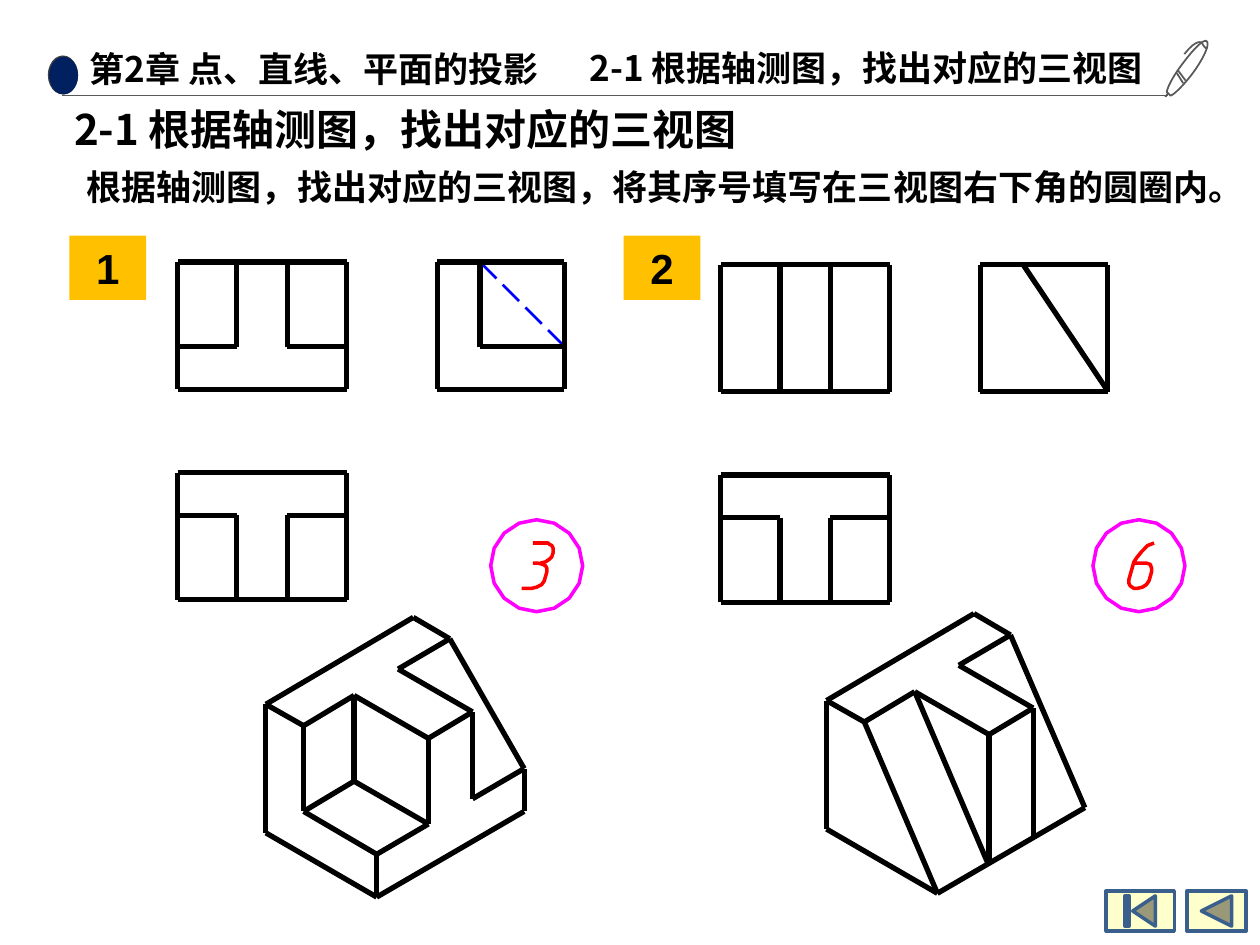
"""Build the slide on matching solids with their three views."""
from math import cos, pi, sin
from lxml.etree import SubElement
from pptx import Presentation
from pptx.dml.color import RGBColor
from pptx.enum.shapes import MSO_CONNECTOR as Link, MSO_SHAPE as Kind
from pptx.enum.text import MSO_ANCHOR as Anchor, PP_ALIGN as Align
from pptx.oxml.ns import qn
from pptx.util import Inches, Pt

HUES = {"ink": "000000", "gray": "595959", "dark": "404040", "navy": "002060",
        "gold": "FFC000", "cream": "FFFFCC", "steel": "3A5F8C",
        "pink": "FF00FF", "red": "FF0000", "blue": "0000FF"}
CJK = "Noto Sans CJK SC"

TEXTS = [
    ("第2章 点、直线、平面的投影", (0.64, 0.34, 4.07, 0.41), 20, CJK, (0.07, 0.04), None),
    ("2-1 根据轴测图，找出对应的三视图", (4.58, 0.32, 4.74, 0.44), 20, CJK, (0.1, 0.05), None),
    ("2-1 根据轴测图，找出对应的三视图", (0.49, 0.77, 6.46, 0.51), 24, CJK, (0.1, 0.05), None),
    ("根据轴测图，找出对应的三视图，将其序号填写在三视图右下角的圆圈内。",
     (0.59, 1.39, 9.73, 0.31), 20, "Arial", (0.1, 0.05), 15),
]
TAGS = [("1", 0.55), ("2", 4.95)]
BUTTONS = [(Kind.ACTION_BUTTON_BEGINNING, 8.78, 0.54),
           (Kind.ACTION_BUTTON_BACK_OR_PREVIOUS, 9.42, 0.47)]

FRAMES = [(0, 0, 1.34, 1.01), (2.06, 0, 1.01, 1.01), (0, 1.67, 1.34, 1.01)]
PLAN = [[(0, 2.01), (0.47, 2.01), (0.47, 2.68)],
        [(1.34, 2.01), (0.87, 2.01), (0.87, 2.68)]]
VIEWS = [
    ((1.41, 2.08), [[(0, 0.67), (0.47, 0.67), (0.47, 0)],
                    [(1.34, 0.67), (0.87, 0.67), (0.87, 0)],
                    [(2.4, 0), (2.4, 0.67), (3.07, 0.67)]]),
    ((5.72, 2.1), [[(0.47, 0), (0.47, 1)], [(0.87, 0), (0.87, 1)],
                   [(2.4, 0), (3.07, 1)]]),
]
HULL = [[(0, 0.69), (1.17, 0), (1.46, 0.17), (1.05, 0.41), (1.64, 0.75),
         (1.29, 0.96), (0.7, 0.62), (0.3, 0.86), (0, 0.69), (0, 1.71),
         (0.88, 2.22), (2.05, 1.54)]]
SOLIDS = [
    ((2.11, 4.9), [[(2.05, 1.54), (2.05, 1.2), (1.46, 0.17)],
                   [(2.05, 1.2), (1.64, 1.44), (1.64, 0.75)],
                   [(0.3, 0.86), (0.3, 1.54), (0.88, 1.88), (1.29, 1.64), (1.29, 0.96)],
                   [(0.7, 0.62), (0.7, 1.3), (1.29, 1.64)],
                   [(0.7, 1.3), (0.3, 1.54)], [(0.88, 1.88), (0.88, 2.22)]]),
    ((6.56, 4.87), [[(1.46, 0.17), (2.05, 1.54)], [(0.7, 0.62), (1.28, 1.98)],
                    [(0.3, 0.86), (0.88, 2.22)], [(1.64, 0.75), (1.64, 1.77)],
                    [(1.29, 0.96), (1.29, 1.98)]]),
]
RINGS = [(4.26, 4.49), (9.04, 4.49)]
DIGITS = [
    [(4.14, 4.67), (4.22, 4.67), (4.26, 4.66), (4.3, 4.64), (4.32, 4.61), (4.34, 4.54),
     (4.34, 4.51), (4.33, 4.49), (4.31, 4.48), (4.27, 4.47), (4.23, 4.47)],
    [(4.29, 4.47), (4.33, 4.46), (4.36, 4.44), (4.38, 4.42), (4.39, 4.39), (4.39, 4.35),
     (4.38, 4.33), (4.36, 4.32), (4.35, 4.31), (4.23, 4.31)],
    [(9.16, 4.31), (9.11, 4.33), (9.06, 4.38), (9.02, 4.43), (9, 4.46), (8.96, 4.6),
     (8.96, 4.63), (8.97, 4.65), (9, 4.67), (9.03, 4.67), (9.07, 4.66), (9.1, 4.64),
     (9.12, 4.61), (9.14, 4.54), (9.14, 4.51), (9.13, 4.48), (9.1, 4.47), (9.01, 4.47)],
]
PEN = [
    [(9.39, 0.66), (9.34, 0.58), (9.34, 0.58), (9.34, 0.58)],
    [(9.35, 0.56), (9.41, 0.64), (9.41, 0.64), (9.41, 0.64)],
    [(9.58, 0.33), (9.56, 0.3), (9.48, 0.38), (9.39, 0.5), (9.32, 0.59), (9.27, 0.68),
     (9.26, 0.73), (9.29, 0.76), (9.29, 0.76), (9.29, 0.76), (9.32, 0.75), (9.39, 0.68),
     (9.46, 0.59), (9.55, 0.47), (9.6, 0.36), (9.58, 0.33)],
    [(9.27, 0.74), (9.25, 0.77), (9.25, 0.77), (9.25, 0.77)],
    [(9.58, 0.39), (9.58, 0.39), (9.55, 0.37), (9.54, 0.34), (9.54, 0.34), (9.5, 0.3),
     (9.4, 0.43)],
]

deck = Presentation()
deck.slide_width, deck.slide_height = Inches(10), Inches(7.5)
page = deck.slides.add_slide(deck.slide_layouts[6])


def tint(name):
    return RGBColor.from_string(HUES[name])


def edge(line, hue, width):
    line.color.rgb = tint(hue)
    line.width = Pt(width)


def shape(kind, box, fill, hue=None):
    item = page.shapes.add_shape(kind, *map(Inches, box))
    item.shadow.inherit = False
    item.fill.solid()
    item.fill.fore_color.rgb = tint(fill)
    if hue:
        edge(item.line, hue, 2)
    else:
        item.line.fill.background()
    return item


def write(item, text, size, face):
    frame = item.text_frame
    frame.word_wrap = True
    frame.text = text
    para = frame.paragraphs[0]
    font = para.runs[0].font
    font.size, font.bold, font.name = Pt(size), True, face
    font.color.rgb = tint("ink")
    SubElement(para.runs[0]._r.get_or_add_rPr(), qn("a:ea")).set("typeface", CJK)
    return para


def chain(spots, at=(0, 0), hue="ink", width=3):
    spots = [(Inches(at[0] + x), Inches(at[1] + y)) for x, y in spots]
    for start, end in zip(spots, spots[1:]):
        link = page.shapes.add_connector(Link.STRAIGHT, *start, *end)
        edge(link.line, hue, width)
        SubElement(link._element.spPr, qn("a:effectLst"))


def trace(paths, hue, width, close=False):
    paths = [[(Inches(x), Inches(y)) for x, y in path] for path in paths]
    pen = page.shapes.build_freeform(*paths[0][0])
    for num, path in enumerate(paths):
        if num:
            pen.move_to(*path[0])
        pen.add_line_segments(path[1:], close=close)
    item = pen.convert_to_shape()
    item.shadow.inherit = False
    item.fill.background()
    edge(item.line, hue, width)


def curve(knots, steps=8):
    path = [knots[0]]
    for i in range(0, len(knots) - 1, 3):
        for t in (n / steps for n in range(1, steps + 1)):
            parts = ((1 - t) ** 3, 3 * t * (1 - t) ** 2, 3 * t * t * (1 - t), t ** 3)
            path.append(tuple(sum(p * k[d] for p, k in zip(parts, knots[i:i + 4]))
                              for d in (0, 1)))
    return path


shape(Kind.OVAL, (0.38, 0.44, 0.24, 0.31), "dark")
shape(Kind.OVAL, (0.39, 0.45, 0.23, 0.3), "navy")
chain([(0.49, 0.76), (9.27, 0.76)], hue="gray", width=0.75)
trace([curve(knots) for knots in PEN], "gray", 1)

for text, box, size, face, (side, edge_gap), lead in TEXTS:
    item = page.shapes.add_textbox(*map(Inches, box))
    frame = item.text_frame
    frame.margin_left = frame.margin_right = Inches(side)
    frame.margin_top = frame.margin_bottom = Inches(edge_gap)
    para = write(item, text, size, face)
    if lead:
        para.line_spacing = Pt(lead)

for kind, left, wide in BUTTONS:
    shape(kind, (left, 7.07, wide, 0.32), "cream", "steel")

for x, y in RINGS:
    turns = [n * pi / 8 for n in range(16)]
    trace([[(x + 0.365 * cos(a), y + 0.365 * sin(a)) for a in turns]], "pink", 2, True)
for path in DIGITS:
    trace([path], "red", 2)

for n in range(4):
    near, far = 0.18 * n, 0.18 * n + 0.13
    chain([(3.81 + near, 2.08 + near), (3.81 + far, 2.08 + far)], hue="blue", width=1.5)
for at, marks in VIEWS:
    for x, y, w, h in FRAMES:
        chain([(x, y), (x + w, y), (x + w, y + h), (x, y + h), (x, y)], at)
    for path in PLAN + marks:
        chain(path, at)
for at, marks in SOLIDS:
    for path in HULL + marks:
        chain(path, at)

for text, left in TAGS:
    item = shape(Kind.RECTANGLE, (left, 1.87, 0.61, 0.51), "gold")
    item.text_frame.vertical_anchor = Anchor.MIDDLE
    write(item, text, 24, "Arial").alignment = Align.CENTER

deck.save("out.pptx")
